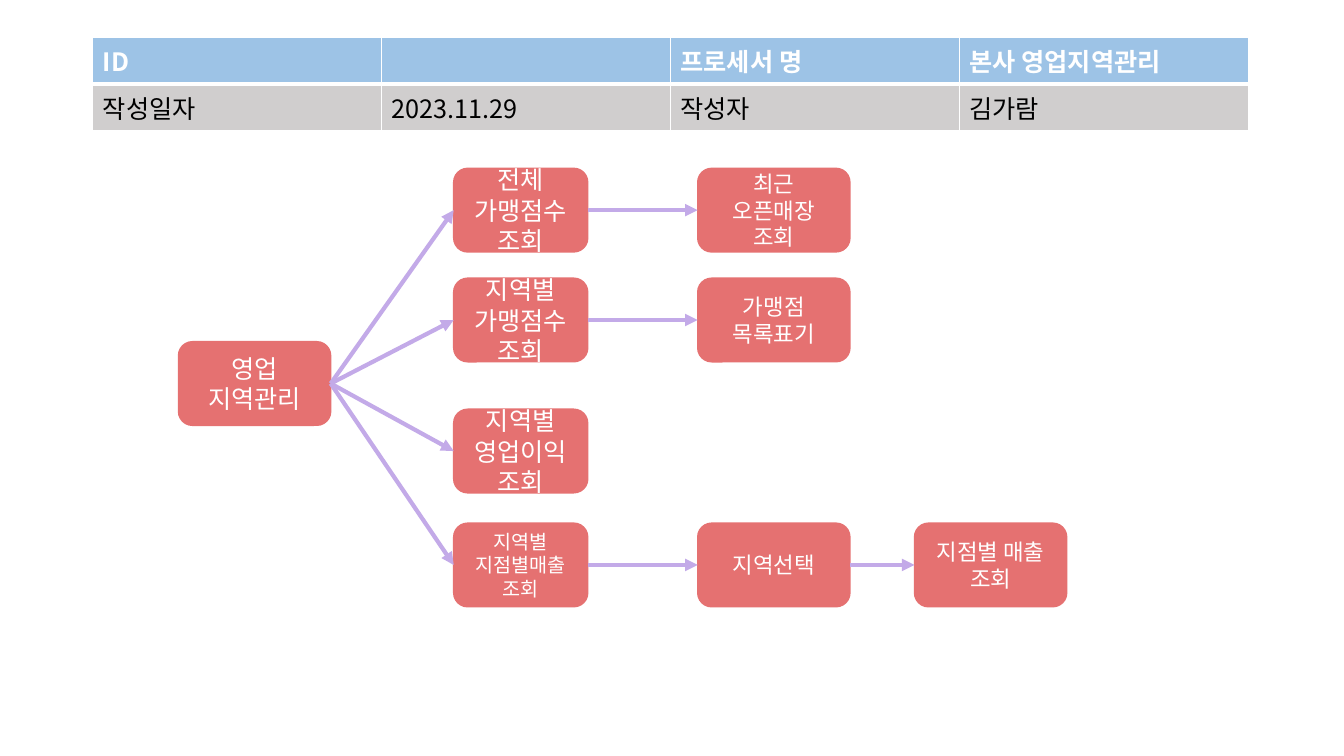
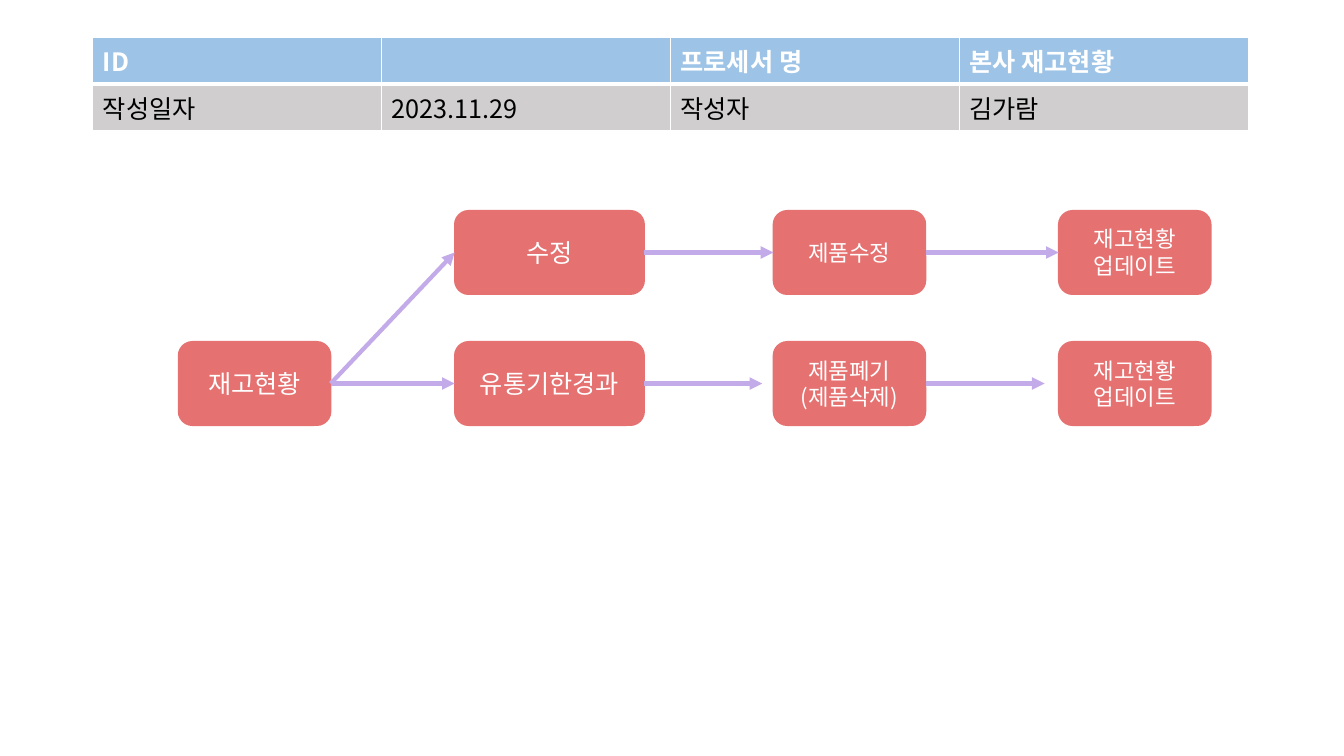
from dataclasses import dataclass
from itertools import pairwise

from lxml.etree import SubElement
from pptx import Presentation
from pptx.dml.color import RGBColor
from pptx.enum.shapes import MSO_CONNECTOR, MSO_SHAPE
from pptx.enum.text import MSO_ANCHOR, PP_ALIGN
from pptx.oxml import parse_xml
from pptx.oxml.ns import nsdecls, qn
from pptx.util import Inches, Pt


@dataclass(frozen=True)
class Theme:
    """Colours, type sizes and line widths shared by the slides."""

    font: str = "Noto Sans CJK KR"
    step: str = "E57171"
    arrow: str = "C3AAE8"
    header: str = "9DC3E6"
    body: str = "D0CECE"
    light: str = "FFFFFF"
    dark: str = "000000"
    large: int = 18
    medium: int = 16
    small: int = 14
    arrow_width: int = 3
    rule: int = 1
    thick_rule: int = 3


THEME = Theme()
STEP_HEIGHT = 0.83
ROOT = (1.77, 3.39, 1.51)


class ProcessDeck:
    """Draws process flow slides in one theme."""

    def __init__(self, theme):
        """Start an empty widescreen deck."""
        self.theme = theme
        self.deck = Presentation()
        self.deck.slide_width = Inches(13.33)
        self.deck.slide_height = Inches(7.5)
        self.slide = None

    def new_slide(self, process):
        """Add a slide headed by its process table."""
        self.slide = self.deck.slides.add_slide(self.deck.slide_layouts[6])
        self.header_table(process)

    def style_text(self, frame, size, color, bold=False, align=PP_ALIGN.LEFT):
        """Format every paragraph of a text frame."""
        font_format = {"name": self.theme.font, "size": Pt(size), "bold": bold}
        for paragraph in frame.paragraphs:
            paragraph.alignment = align
            for run in paragraph.runs:
                for attribute, value in font_format.items():
                    setattr(run.font, attribute, value)
                run.font.color.rgb = RGBColor.from_string(color)
                east_asian = SubElement(run.font._element, qn("a:ea"))
                east_asian.set("typeface", self.theme.font)

    def cell_borders(self, cell, top, bottom):
        """Rule the four sides of a table cell."""
        rule = self.theme.rule
        widths = {"lnL": rule, "lnR": rule, "lnT": top, "lnB": bottom}
        properties = cell._tc.get_or_add_tcPr()
        for position, (side, width) in enumerate(widths.items()):
            properties.insert(position, parse_xml(
                f'<a:{side} {nsdecls("a")} w="{Pt(width)}"><a:solidFill>'
                f'<a:srgbClr val="{self.theme.light}"/></a:solidFill></a:{side}>'))

    def header_table(self, process):
        """Draw the table that identifies the process."""
        theme = self.theme
        rows = [
            (("ID", "", "프로세서 명", process), 0.43, theme.header, theme.light,
             True, theme.rule, theme.thick_rule),
            (("작성일자", "2023.11.29", "작성자", "김가람"), 0.41, theme.body,
             theme.dark, False, theme.thick_rule, theme.rule),
        ]
        table = self.slide.shapes.add_table(
            len(rows), 4, Inches(0.92), Inches(0.37), Inches(11.46), Inches(0.84)).table
        for row, (labels, height, fill, color, bold, top, bottom) in enumerate(rows):
            table.rows[row].height = Inches(height)
            for column, label in enumerate(labels):
                cell = table.cell(row, column)
                cell.text = label
                cell.fill.solid()
                cell.fill.fore_color.rgb = RGBColor.from_string(fill)
                self.style_text(cell.text_frame, theme.large, color, bold)
                self.cell_borders(cell, top, bottom)

    def step(self, label, left, top, width, size):
        """Draw one rounded process step."""
        step = self.slide.shapes.add_shape(
            MSO_SHAPE.ROUNDED_RECTANGLE,
            *map(Inches, (left, top, width, STEP_HEIGHT)))
        step.shadow.inherit = False
        step.fill.solid()
        for paint in (step.fill.fore_color, step.line.color):
            paint.rgb = RGBColor.from_string(self.theme.step)
        step.line.width = Pt(self.theme.rule)
        frame = step.text_frame
        frame.text = label
        frame.vertical_anchor = MSO_ANCHOR.MIDDLE
        self.style_text(frame, size, self.theme.light, align=PP_ALIGN.CENTER)
        return step

    def arrow(self, source, target, gap=0):
        """Point from one step to the next, joined unless a gap is left."""
        arrow = self.slide.shapes.add_connector(
            MSO_CONNECTOR.STRAIGHT,
            source.left + source.width, source.top + source.height // 2,
            target.left - Inches(gap), target.top + target.height // 2)
        arrow.begin_connect(source, 3)
        if not gap:
            arrow.end_connect(target, 1)
        arrow.line.color.rgb = RGBColor.from_string(self.theme.arrow)
        arrow.line.width = Pt(self.theme.arrow_width)
        SubElement(arrow.line._ln, qn("a:tailEnd")).set("type", "triangle")
        SubElement(arrow._element.spPr, qn("a:effectLst"))

    def flow(self, root_label, columns, branches):
        """Draw the root step and a row of linked steps for each branch."""
        root = self.step(root_label, *ROOT, self.theme.large)
        for top, steps, gaps in branches:
            row = [root]
            for (label, size), (left, width) in zip(steps, columns):
                row.append(self.step(label, left, top, width, size))
            for position, (source, target) in enumerate(pairwise(row)):
                self.arrow(source, target, gaps.get(position, 0))


def main():
    """Build and save the two process slides."""
    process_deck = ProcessDeck(THEME)
    large, medium, small = THEME.large, THEME.medium, THEME.small

    process_deck.new_slide("본사 영업지역관리")
    process_deck.flow("영업\n지역관리", [(4.5, 1.33), (6.92, 1.51), (9.07, 1.51)], [
        (1.67, [("전체\n가맹점수\n조회", large), ("최근\n오픈매장\n조회", medium)], {}),
        (2.76, [("지역별\n가맹점수\n조회", large), ("가맹점\n목록표기", medium)], {}),
        (4.06, [("지역별\n영업이익\n조회", large)], {}),
        (5.19, [("지역별\n지점별매출\n조회", small), ("지역선택", medium),
                ("지점별 매출\n조회", medium)], {}),
    ])

    process_deck.new_slide("본사 재고현황")
    update = ("재고현황 업데이트", medium)
    process_deck.flow("재고현황", [(4.51, 1.88), (7.67, 1.51), (10.5, 1.51)], [
        (2.09, [("수정", large), ("제품수정", medium), update], {}),
        (3.39, [("유통기한경과", large), ("제품폐기\n(제품삭제)", medium), update],
         {1: 0.11, 2: 0.14}),
    ])

    process_deck.deck.save("out.pptx")


if __name__ == "__main__":
    main()
